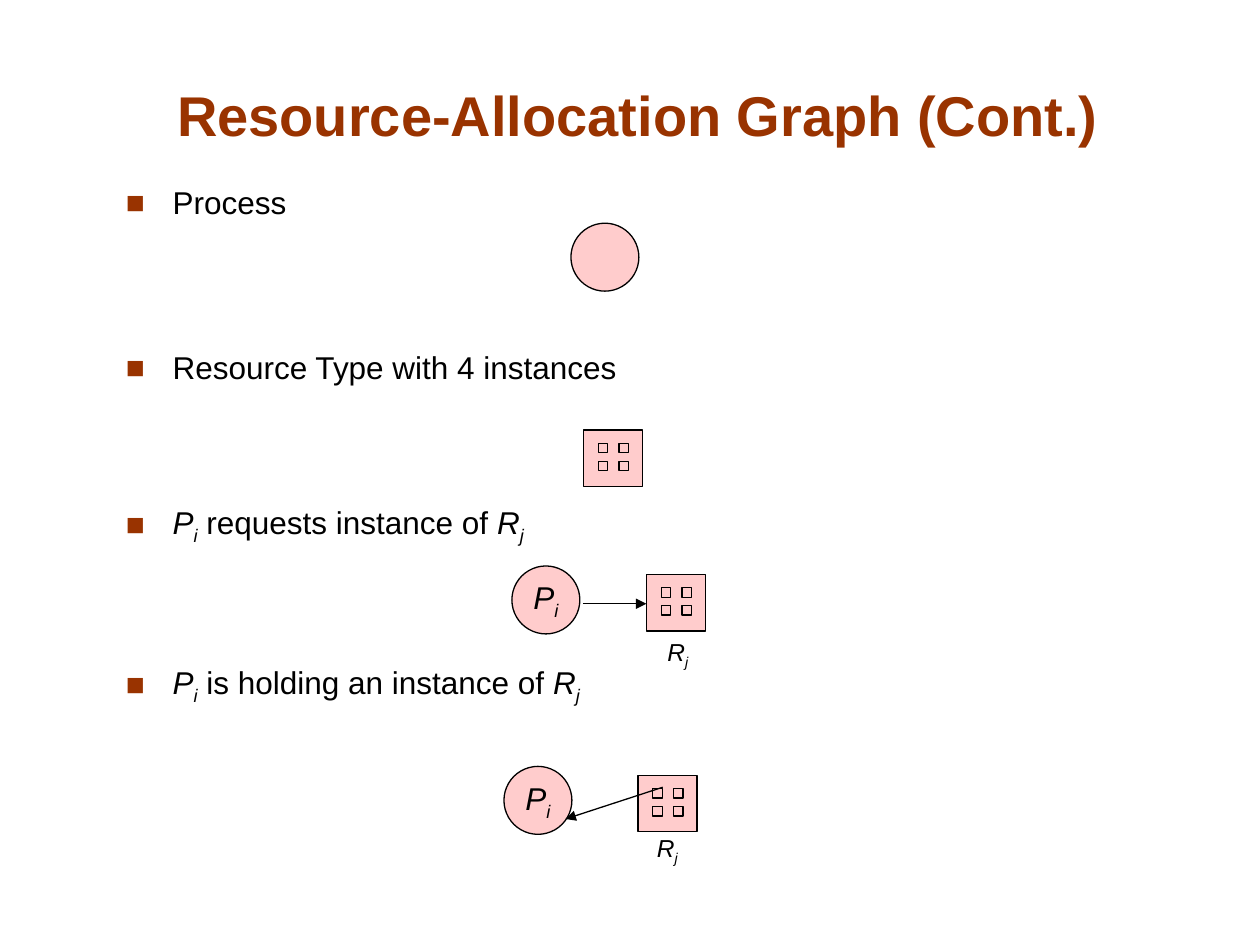
from pptx import Presentation, util as u
from pptx.dml.color import RGBColor
from pptx.enum import shapes, text
from pptx.oxml.ns import qn
from lxml import etree

BROWN = RGBColor(0x99, 0x33, 0x00)
PINK = RGBColor(0xFF, 0xCC, 0xCC)
BLACK = RGBColor(0, 0, 0)
FONT = "Arial"

# Content: runs are (text, style); positions are in centimetres
TITLE = [("Resource-Allocation Graph (Cont.)", "bold")]
PROCESS_NAME = [("P", "italic"), ("i", "subscript")]
RESOURCE_NAME = [("R", "italic"), ("j", "subscript")]
BULLETS = [  # space before in points, runs
    (0, [("Process", "plain")]),
    (72.8, [("Resource Type with 4 instances", "plain")]),
    (66.8, PROCESS_NAME + [(" requests instance of ", "plain")] + RESOURCE_NAME),
    (66.8, PROCESS_NAME + [(" is holding an instance of ", "plain")] + RESOURCE_NAME),
]
PROCESSES = [(11.51, 4.5, None), (10.16, 15.45, PROCESS_NAME), (10.32, 11.41, PROCESS_NAME)]
RESOURCES = [(11.76, 8.67), (13.03, 11.58), (12.86, 15.63)]
RESOURCE_LABELS = [(13.21, 12.7), (13, 16.66)]
ARROWS = [(11.75, 12.17, 13.03, 12.17), (13.36, 15.87, 11.4, 16.51)]

PROCESS_SIZE = 1.37
RESOURCE_WIDTH, RESOURCE_HEIGHT = 1.19, 1.14
INSTANCE_SIZE = 0.19
INSTANCE_LEFT, INSTANCE_TOP = 0.3, 0.27
INSTANCE_STEP_X, INSTANCE_STEP_Y = 0.42, 0.36


def write_runs(paragraph, runs, size, color=BLACK):
    for content, style in runs:
        run = paragraph.add_run()
        run.text = content
        font = run.font
        font.name, font.size, font.color.rgb = FONT, u.Pt(size), color
        font.bold = style == "bold"
        font.italic = style in ("italic", "subscript")
        if style == "subscript":
            font._element.set("baseline", "-25000")


def add_text(slide, left, top, width, height, wrap=True, anchor=text.MSO_ANCHOR.TOP):
    box = slide.shapes.add_textbox(u.Cm(left), u.Cm(top), u.Cm(width), u.Cm(height))
    box.text_frame.word_wrap = wrap
    box.text_frame.vertical_anchor = anchor
    return box.text_frame


def add_centred(frame, runs, size, color=BLACK):
    paragraph = frame.paragraphs[0]
    paragraph.alignment = text.PP_ALIGN.CENTER
    write_runs(paragraph, runs, size, color)


def add_bullet(paragraph):
    properties = paragraph._p.get_or_add_pPr()
    properties.set("marL", str(u.Cm(0.94)))
    properties.set("indent", str(-u.Cm(0.94)))
    color = etree.SubElement(properties, qn("a:buClr"))
    etree.SubElement(color, qn("a:srgbClr")).set("val", str(BROWN))
    etree.SubElement(properties, qn("a:buFont")).set("typeface", FONT)
    etree.SubElement(properties, qn("a:buChar")).set("char", "■")


def add_outlined(parent, kind, left, top, width, height):
    shape = parent.shapes.add_shape(kind, u.Cm(left), u.Cm(top), u.Cm(width), u.Cm(height))
    shape.shadow.inherit = False
    shape.fill.solid()
    shape.fill.fore_color.rgb = PINK
    shape.line.color.rgb = BLACK
    shape.line.width = u.Pt(0.75)
    return shape


def add_process(slide, left, top, name):
    circle = add_outlined(slide, shapes.MSO_SHAPE.OVAL, left, top, PROCESS_SIZE, PROCESS_SIZE)
    if name:
        circle.text_frame.word_wrap = False
        circle.text_frame.vertical_anchor = text.MSO_ANCHOR.MIDDLE
        add_centred(circle.text_frame, name, 18)


def add_resource(slide, left, top):
    group = slide.shapes.add_group_shape()
    square = shapes.MSO_SHAPE.RECTANGLE
    add_outlined(group, square, left, top, RESOURCE_WIDTH, RESOURCE_HEIGHT)
    for row in range(2):
        for column in range(2):
            add_outlined(group, square,
                         left + INSTANCE_LEFT + column * INSTANCE_STEP_X,
                         top + INSTANCE_TOP + row * INSTANCE_STEP_Y,
                         INSTANCE_SIZE, INSTANCE_SIZE)


def add_resource_label(slide, left, top):
    label = add_text(slide, left, top, 0.91, 0.94, False, text.MSO_ANCHOR.MIDDLE)
    # The box is narrow, so the name needs its full width
    label.margin_left = label.margin_right = 0
    add_centred(label, RESOURCE_NAME, 14)


def add_arrow(slide, *ends):
    arrow = slide.shapes.add_connector(shapes.MSO_CONNECTOR.STRAIGHT, *map(u.Cm, ends))
    arrow.line.color.rgb = BLACK
    arrow.line.width = u.Pt(0.75)
    etree.SubElement(arrow.line._get_or_add_ln(), qn("a:tailEnd")).set("type", "triangle")
    etree.SubElement(arrow._element.spPr, qn("a:effectLst"))


def main():
    presentation = Presentation()
    presentation.slide_width, presentation.slide_height = u.Cm(25.4), u.Cm(19.05)
    slide = presentation.slides.add_slide(presentation.slide_layouts[6])

    # Title
    title = add_text(slide, 1.65, 1.4, 22.43, 1.7, anchor=text.MSO_ANCHOR.BOTTOM)
    add_centred(title, TITLE, 32, BROWN)

    # Bullet list
    body = add_text(slide, 2.29, 3.57, 20.42, 12.32)
    for index, (space, runs) in enumerate(BULLETS):
        paragraph = body.add_paragraph() if index else body.paragraphs[0]
        add_bullet(paragraph)
        if space:
            paragraph.space_before = u.Pt(space)
        write_runs(paragraph, runs, 18)

    # Graph nodes, labels and arrows
    for process in PROCESSES:
        add_process(slide, *process)
    for resource in RESOURCES:
        add_resource(slide, *resource)
    for position in RESOURCE_LABELS:
        add_resource_label(slide, *position)
    for arrow in ARROWS:
        add_arrow(slide, *arrow)

    presentation.save("out.pptx")


if __name__ == "__main__":
    main()
